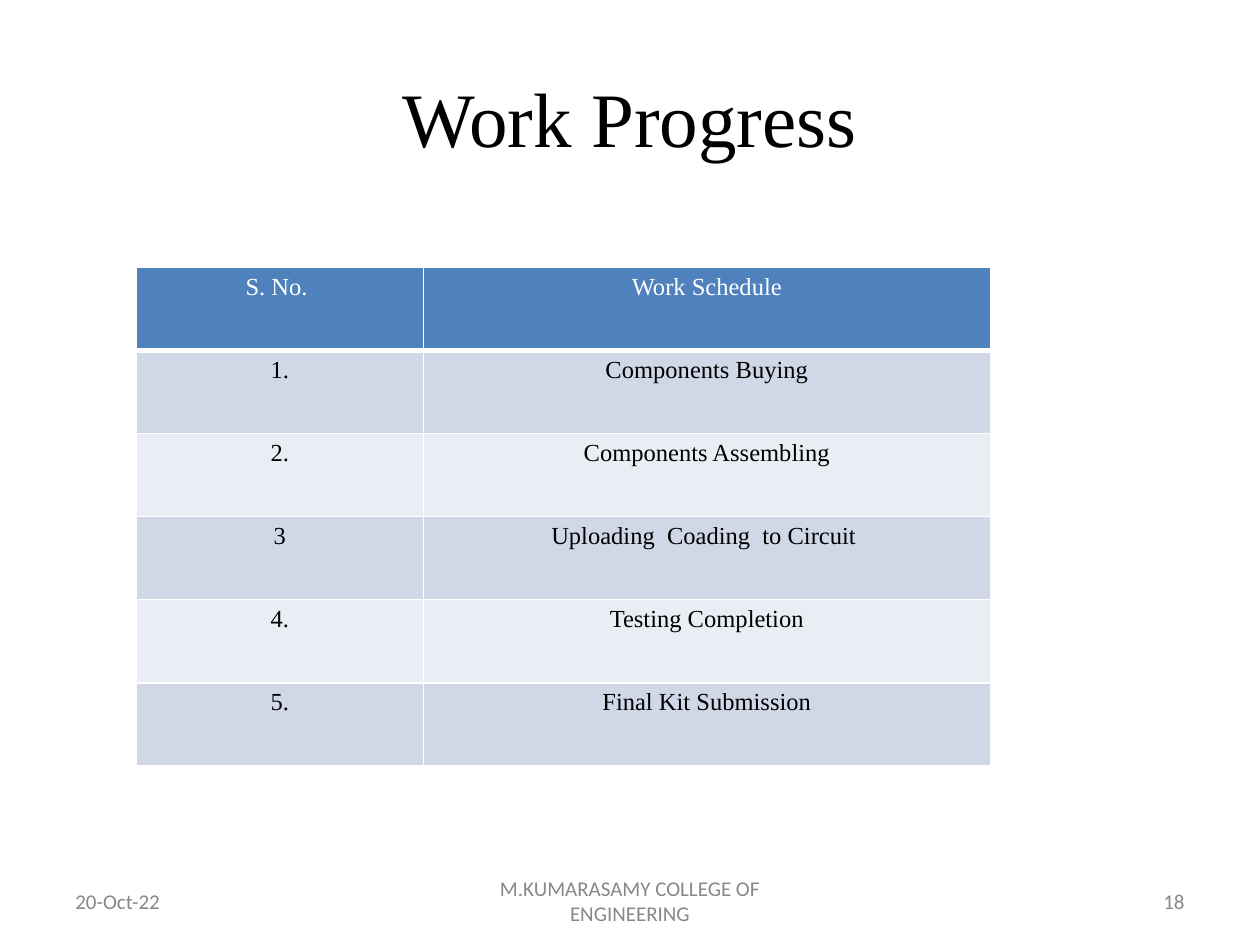
from lxml.etree import SubElement
from pptx import Presentation
from pptx.dml.color import RGBColor
from pptx.enum.text import MSO_ANCHOR, PP_ALIGN
from pptx.oxml.ns import qn
from pptx.util import Inches, Pt

WIDTH, HEIGHT = 10, 7.5
WHITE = RGBColor(0xFF, 0xFF, 0xFF)
BLACK = RGBColor(0x00, 0x00, 0x00)
GRAY = RGBColor(0x88, 0x88, 0x88)
BLUE = RGBColor(0x4F, 0x81, 0xBD)
BANDS = (RGBColor(0xE9, 0xED, 0xF4), RGBColor(0xD0, 0xD8, 0xE8))
SERIF, SANS = "Times New Roman", "Calibri"

MARGIN = 0.5
FOOTER_TOP, FOOTER_HEIGHT = 6.95, 0.4
SIDE_WIDTH, MIDDLE_WIDTH = 2.33, 3.17
COLUMN_WIDTHS = (2.28, 4.5)
ROW_HEIGHT = 0.66
SCHEDULE = (
    ("S. No. ", "Work Schedule"),
    ("1.", "Components Buying"),
    ("2.", "Components Assembling"),
    ("3", "Uploading  Coading  to Circuit "),
    ("4.", "Testing Completion"),
    ("5.", "Final Kit Submission"),
)


def write_text(frame, text, font=SANS, size=12, color=GRAY, align=PP_ALIGN.CENTER):
    para = frame.paragraphs[0]
    para.alignment = align
    span = para.add_run()
    span.text = text
    span.font.name = font
    span.font.size = Pt(size)
    span.font.color.rgb = color


def add_text(page, left, top, width, height, text, **text_format):
    box = page.shapes.add_textbox(Inches(left), Inches(top), Inches(width), Inches(height))
    box.text_frame.word_wrap = True
    box.text_frame.vertical_anchor = MSO_ANCHOR.MIDDLE
    write_text(box.text_frame, text, **text_format)


def set_borders(cell, color, bottom):
    properties = cell._tc.get_or_add_tcPr()
    for side, points in (("L", 1), ("R", 1), ("T", 1), ("B", bottom)):
        line = SubElement(properties, qn(f"a:ln{side}"), w=str(Pt(points)))
        fill = SubElement(line, qn("a:solidFill"))
        SubElement(fill, qn("a:srgbClr"), val=str(color))


def add_schedule(page, left, top):
    table = page.shapes.add_table(
        len(SCHEDULE), len(COLUMN_WIDTHS), Inches(left), Inches(top),
        Inches(sum(COLUMN_WIDTHS)), Inches(ROW_HEIGHT * len(SCHEDULE)),
    ).table
    for column, width in zip(table.columns, COLUMN_WIDTHS):
        column.width = Inches(width)
    for index, texts in enumerate(SCHEDULE):
        header = index == 0
        table.rows[index].height = Inches(ROW_HEIGHT)
        for cell, text in zip(table.rows[index].cells, texts):
            set_borders(cell, WHITE, bottom=3 if header else 1)
            cell.fill.solid()
            cell.fill.fore_color.rgb = BLUE if header else BANDS[index % 2]
            write_text(cell.text_frame, text, font=SERIF, size=14,
                       color=WHITE if header else BLACK)


def add_footer(page):
    items = (
        (MARGIN, SIDE_WIDTH, "20-Oct-22", PP_ALIGN.LEFT),
        ((WIDTH - MIDDLE_WIDTH) / 2, MIDDLE_WIDTH,
         "M.KUMARASAMY COLLEGE OF ENGINEERING", PP_ALIGN.CENTER),
        (WIDTH - MARGIN - SIDE_WIDTH, SIDE_WIDTH, "18", PP_ALIGN.RIGHT),
    )
    for left, width, text, align in items:
        add_text(page, left, FOOTER_TOP, width, FOOTER_HEIGHT, text, align=align)


def main():
    deck = Presentation()
    deck.slide_width, deck.slide_height = Inches(WIDTH), Inches(HEIGHT)
    page = deck.slides.add_slide(deck.slide_layouts[6])
    add_text(page, MARGIN, HEIGHT * 0.04, WIDTH - 2 * MARGIN, HEIGHT / 6,
             "Work Progress", font=SERIF, size=44, color=BLACK)
    add_schedule(page, 1.08, 2.12)
    add_footer(page)
    deck.save("out.pptx")


if __name__ == "__main__":
    main()
